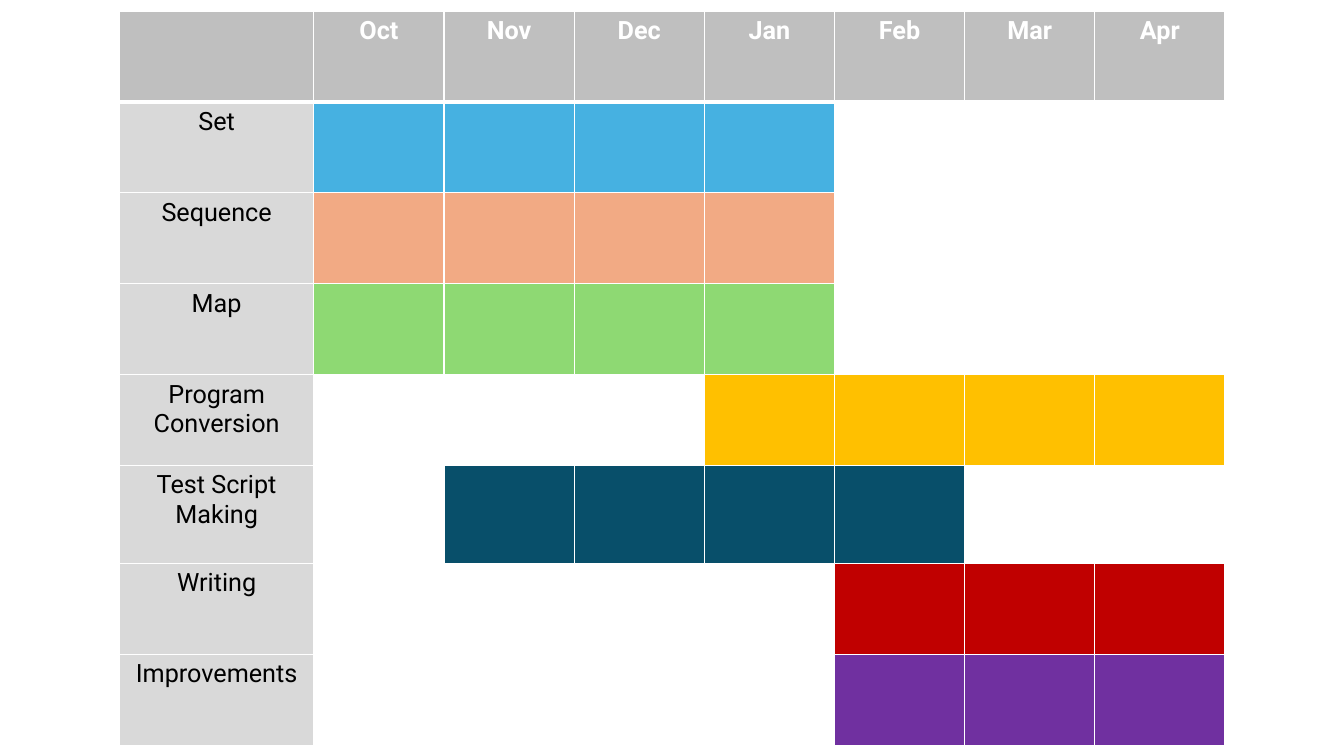
from lxml.etree import SubElement
from pptx import Presentation
from pptx.dml.color import RGBColor
from pptx.enum.text import PP_ALIGN
from pptx.oxml.ns import qn
from pptx.util import Cm, Pt

COLORS = {
    "white": "FFFFFF", "black": "000000", "header": "BFBFBF", "label": "D9D9D9",
    "blue": "46B1E1", "orange": "F2AA84", "green": "8ED973", "yellow": "FFC000",
    "teal": "084F6A", "red": "C00000", "purple": "7030A0",
}
MONTHS = ["Oct", "Nov", "Dec", "Jan", "Feb", "Mar", "Apr"]
# task, first month, last month, bar colour
TASKS = [
    ("Set", "Oct", "Jan", "blue"),
    ("Sequence", "Oct", "Jan", "orange"),
    ("Map", "Oct", "Jan", "green"),
    ("Program Conversion", "Jan", "Apr", "yellow"),
    ("Test Script Making", "Nov", "Feb", "teal"),
    ("Writing", "Feb", "Apr", "red"),
    ("Improvements", "Feb", "Apr", "purple"),
]
LABEL_W, MONTH_W = 4.9, 3.28
ROW_H, TALL_ROW_H, TALL_ROW = 2.29, 2.47, 5


def style_cell(cell, fill, top=1, bottom=1):
    """Give the cell white borders (widths in points) and a fill, or none."""
    tcPr = cell._tc.get_or_add_tcPr()
    for side, width in (("L", 1), ("R", 1), ("T", top), ("B", bottom)):
        ln = SubElement(tcPr, qn(f"a:ln{side}"), w=str(Pt(width)))
        solid = SubElement(ln, qn("a:solidFill"))
        SubElement(solid, qn("a:srgbClr"), val=COLORS["white"])
    if fill:
        cell.fill.solid()
        cell.fill.fore_color.rgb = RGBColor.from_string(COLORS[fill])
    else:
        cell.fill.background()


def write_cell(cell, text, color, bold):
    cell.text_frame.text = text
    p = cell.text_frame.paragraphs[0]
    p.alignment = PP_ALIGN.CENTER
    font = p.runs[0].font
    font.name, font.size, font.bold = "Roboto", Pt(18), bold
    font.color.rgb = RGBColor.from_string(COLORS[color])


prs = Presentation()
prs.slide_width, prs.slide_height = Cm(33.87), Cm(19.05)
s = prs.slides.add_slide(prs.slide_layouts[6])

n_rows, n_cols = len(TASKS) + 1, len(MONTHS) + 1
table = s.shapes.add_table(
    n_rows, n_cols, Cm(3.01), Cm(0.28),
    Cm(LABEL_W + MONTH_W * len(MONTHS)), Cm(ROW_H * len(TASKS) + TALL_ROW_H),
).table
table.horz_banding = False
for i, col in enumerate(table.columns):
    col.width = Cm(MONTH_W if i else LABEL_W)
for i, row in enumerate(table.rows):
    row.height = Cm(TALL_ROW_H if i == TALL_ROW else ROW_H)

# Header row
for c, month in enumerate([""] + MONTHS):
    style_cell(table.cell(0, c), "header", bottom=3)
    if month:
        write_cell(table.cell(0, c), month, "white", True)

# Task rows
for r, (task, first, last, color) in enumerate(TASKS, start=1):
    top = 3 if r == 1 else 1
    style_cell(table.cell(r, 0), "label", top)
    write_cell(table.cell(r, 0), task, "black", False)
    start, end = MONTHS.index(first), MONTHS.index(last)
    for m in range(len(MONTHS)):
        style_cell(table.cell(r, m + 1), color if start <= m <= end else None, top)

prs.save("out.pptx")
